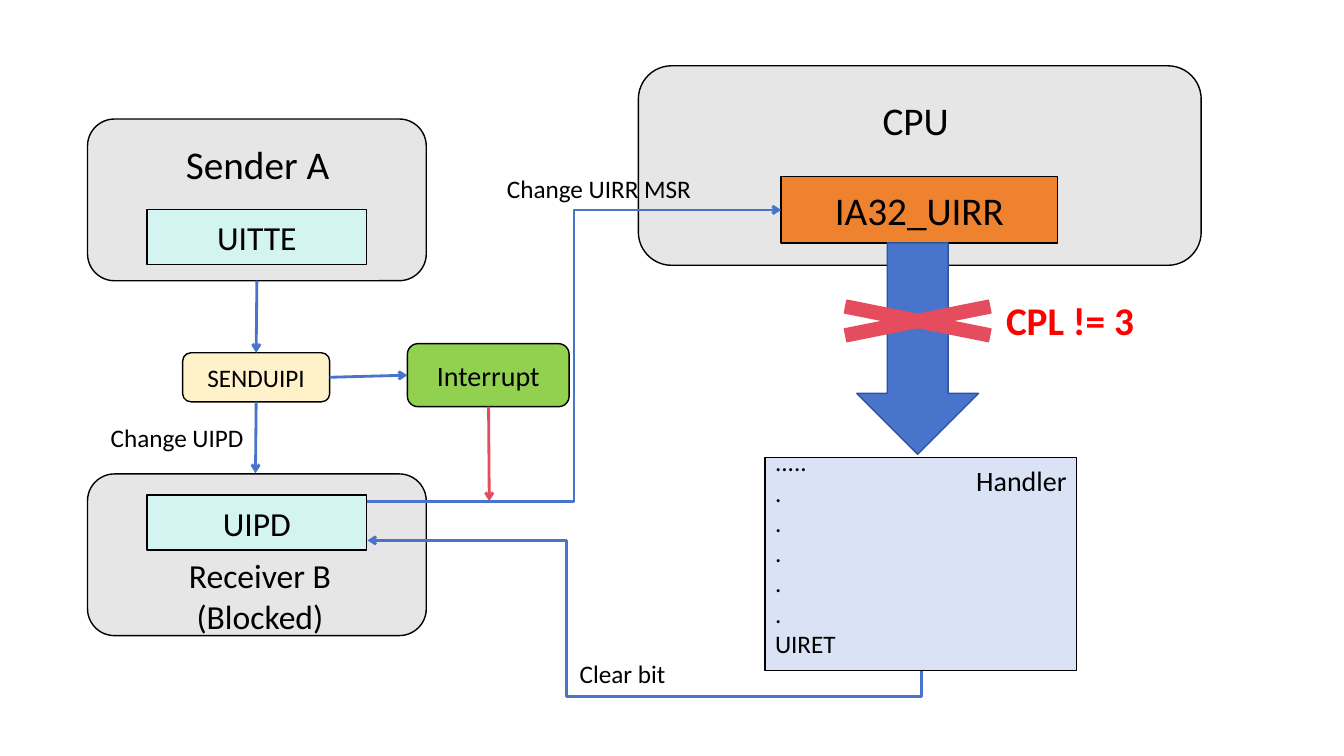
import pptx
import pptx.util
from lxml import etree
from pptx.dml.color import RGBColor
from pptx.enum.shapes import MSO_CONNECTOR, MSO_SHAPE
from pptx.enum.text import MSO_ANCHOR, PP_ALIGN
from pptx.oxml.ns import qn

Pt = pptx.util.Pt

BLACK = RGBColor(0x00, 0x00, 0x00)
GREY = RGBColor(0xE7, 0xE6, 0xE6)
MINT = RGBColor(0xD4, 0xF4, 0xF2)
CREAM = RGBColor(0xFF, 0xF2, 0xCA)
ORANGE = RGBColor(0xEE, 0x82, 0x2F)
GREEN = RGBColor(0x92, 0xD0, 0x50)
PALE_BLUE = RGBColor(0xDA, 0xE3, 0xF5)
BLUE = RGBColor(0x48, 0x74, 0xCB)
DARK_BLUE = RGBColor(0x2E, 0x54, 0xA1)
ROSE = RGBColor(0xE5, 0x4C, 0x5E)
RED = RGBColor(0xFF, 0x00, 0x00)

ROUNDED = MSO_SHAPE.FLOWCHART_ALTERNATE_PROCESS
SQUARE = MSO_SHAPE.FLOWCHART_PROCESS
LEFT, CENTER, RIGHT = PP_ALIGN.LEFT, PP_ALIGN.CENTER, PP_ALIGN.RIGHT

# Content: shapes as (preset, (left, top, width, height), fill, line, label, size)
SHAPES = [
    (ROUNDED, (456, 47, 402, 142.5), GREY, BLACK, "", 0),
    (ROUNDED, (62.5, 85, 242, 115.5), GREY, BLACK, "", 0),
    (ROUNDED, (62.5, 338.5, 242, 115.5), GREY, BLACK, "", 0),
    (SQUARE, (105, 149.5, 157, 39.5), MINT, BLACK, "UITTE", 24),
    (SQUARE, (105, 353.5, 157, 39.5), MINT, BLACK, "UIPD", 24),
    (ROUNDED, (130.5, 252, 105, 35), CREAM, BLACK, "SENDUIPI", 18),
    (SQUARE, (558, 126, 197.5, 47.5), ORANGE, BLACK, "IA32_UIRR", 28),
    (ROUNDED, (291, 245.5, 115.5, 45), GREEN, BLACK, "Interrupt", 20),
    (SQUARE, (546.5, 327, 222.5, 152), PALE_BLUE, BLACK, "", 0),
    (MSO_SHAPE.DOWN_ARROW, (612, 173.5, 87, 151), BLUE, DARK_BLUE, "", 0),
    (MSO_SHAPE.MATH_MULTIPLY, (556.5, 209.5, 198, 39.5), ROSE, ROSE, "", 0),
]

# Text boxes as (lines, (left, top, width, height), size, alignment)
CAPTIONS = [
    (["Sender A"], (113, 96.5, 142, 41), 28, CENTER),
    (["Receiver B", "(Blocked)"], (91.5, 393, 188.5, 65.5), 24, CENTER),
    (["CPU"], (583, 65.5, 142, 41), 28, CENTER),
    (["Change UIPD"], (72, 298, 116, 29), 18, LEFT),
    (["Change UIRR MSR"], (355, 120, 152, 29), 18, LEFT),
    (["Clear bit"], (407, 466.5, 106.5, 29), 18, LEFT),
    (["Handler"], (667.5, 327.5, 101.5, 31.5), 20, RIGHT),
    (["....."] + ["."] * 5 + ["UIRET"], (546.5, 315.5, 222.5, 163.5), 18, LEFT),
]
WARNING = (["CPL != 3"], (694, 208, 140.5, 41), 28, CENTER)

# Arrows as (start, end, colour)
STRAIGHT_ARROWS = [
    ((183.5, 200.5), (183, 252), BLUE),
    ((183, 287), (182.5, 338), BLUE),
    ((235.5, 269.5), (291, 268), BLUE),
    ((349, 290.5), (349.5, 358), ROSE),
]
UIRR_ARROW = ((262, 358), (558, 150), BLUE)
# The return path is laid out upright, then turned a quarter clockwise
RETURN_ARROW = ((507, 234.5), (414, 630.5), BLUE)
RETURN_BENDS = {"adj1": -20100, "adj2": 64100}
QUARTER_TURN = 5400000


def write(frame, lines, size, align, colour=BLACK, bold=False):
    frame.word_wrap = True
    frame.text = "\n".join(lines)
    for para in frame.paragraphs:
        para.alignment = align
        para.font.name = "Calibri"
        para.font.size = Pt(size)
        para.font.bold = bold
        para.font.color.rgb = colour


def add_node(page, preset, place, fill, line, label, size):
    node = page.shapes.add_shape(preset, *map(Pt, place))
    node.shadow.inherit = False
    node.fill.solid()
    node.fill.fore_color.rgb = fill
    node.line.color.rgb = line
    node.line.width = Pt(1)
    if label:
        write(node.text_frame, [label], size, CENTER)
        node.text_frame.vertical_anchor = MSO_ANCHOR.MIDDLE


def add_caption(page, lines, place, size, align, colour=BLACK, bold=False):
    box = page.shapes.add_textbox(*map(Pt, place))
    write(box.text_frame, lines, size, align, colour, bold)


def add_arrow(page, kind, start, end, colour):
    arrow = page.shapes.add_connector(kind, *map(Pt, start + end))
    arrow.line.color.rgb = colour
    arrow.line.width = Pt(2)
    etree.SubElement(arrow.line._get_or_add_ln(), qn("a:tailEnd"), type="arrow")
    etree.SubElement(arrow._element.spPr, qn("a:effectLst"))
    return arrow


def turn_return_path(arrow):
    properties = arrow._element.spPr
    properties.find(qn("a:xfrm")).set("rot", str(QUARTER_TURN))
    geometry = properties.find(qn("a:prstGeom"))
    geometry.set("prst", "bentConnector4")
    bends = geometry.find(qn("a:avLst"))
    for name, value in RETURN_BENDS.items():
        etree.SubElement(bends, qn("a:gd"), name=name, fmla=f"val {value}")


def main():
    deck = pptx.Presentation()
    deck.slide_width, deck.slide_height = Pt(960), Pt(540)
    page = deck.slides.add_slide(deck.slide_layouts[6])

    # Boxes, block arrow and cross
    for shape in SHAPES:
        add_node(page, *shape)

    # Arrows
    for arrow in STRAIGHT_ARROWS:
        add_arrow(page, MSO_CONNECTOR.STRAIGHT, *arrow)
    add_arrow(page, MSO_CONNECTOR.ELBOW, *UIRR_ARROW)
    turn_return_path(add_arrow(page, MSO_CONNECTOR.ELBOW, *RETURN_ARROW))

    # Captions
    for caption in CAPTIONS:
        add_caption(page, *caption)
    add_caption(page, *WARNING, colour=RED, bold=True)

    deck.save("out.pptx")


if __name__ == "__main__":
    main()
